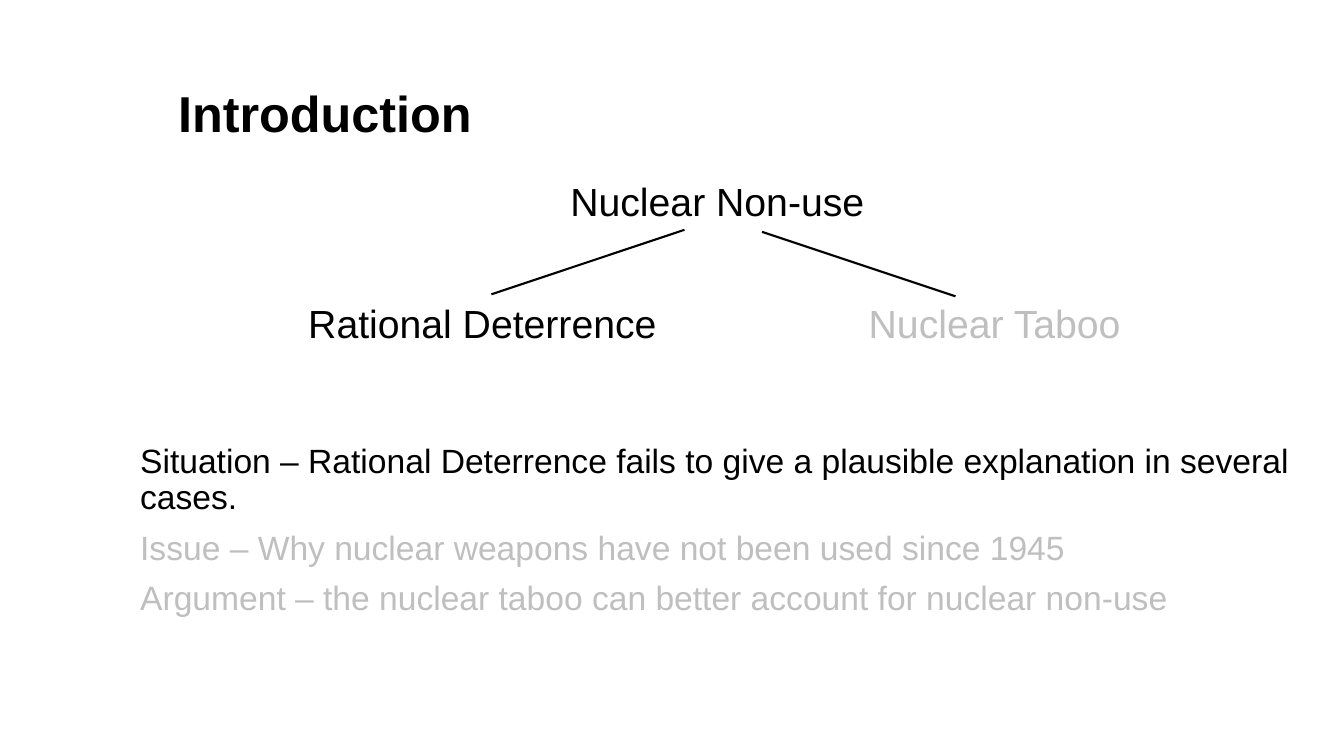
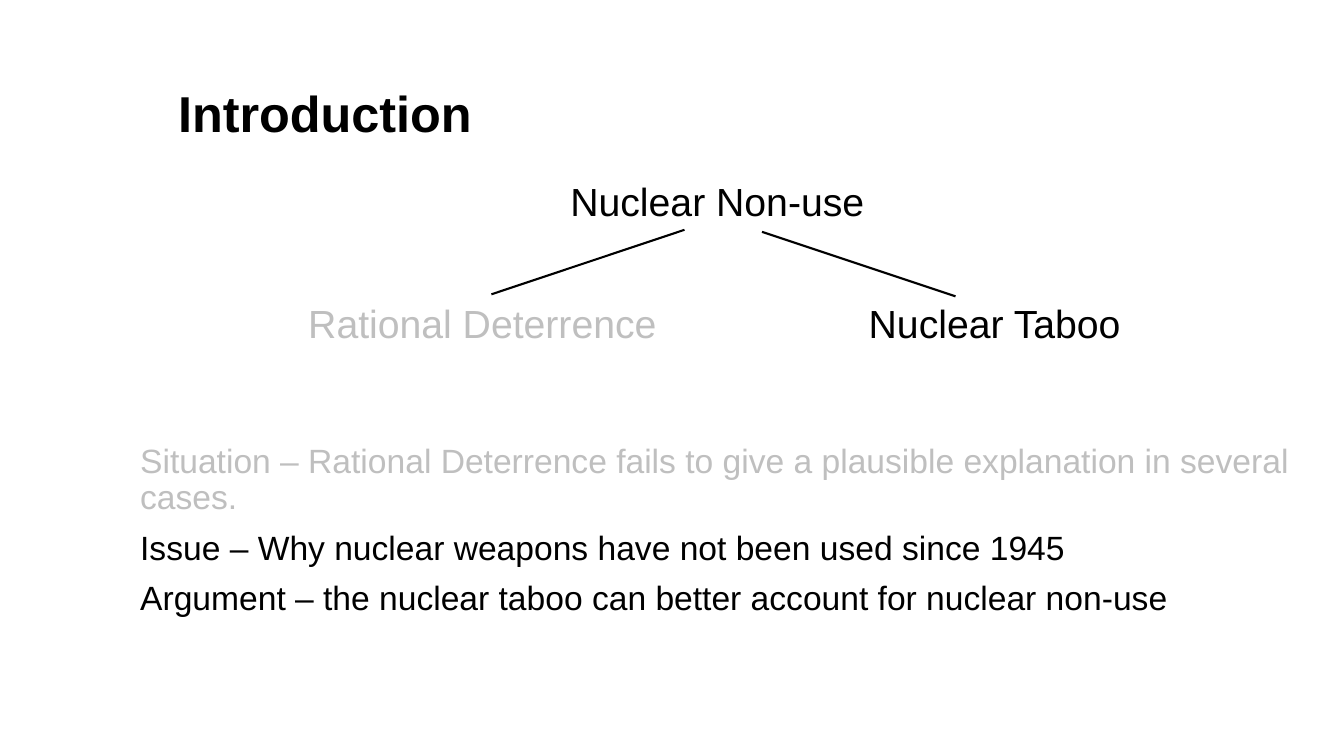
from lxml.etree import SubElement
from pptx import Presentation
from pptx.dml.color import RGBColor
from pptx.enum.shapes import MSO_CONNECTOR
from pptx.enum.text import MSO_ANCHOR, MSO_AUTO_SIZE, PP_ALIGN
from pptx.oxml.ns import qn
from pptx.util import Inches, Pt

SLIDE_W, SLIDE_H = Inches(13.333), Inches(7.5)
FONT = "Arial"
COLORS = {"active": "000000", "muted": "BFBFBF", "paper": "FFFFFF"}

# Tree layout, in percent of the slide's width and height
ROOT_TOP, BRANCH_TOP, NODE_H = 22.8, 38.93, 7.6

POINTS = [
    "Situation – Rational Deterrence fails to give a plausible explanation in several cases.",
    "Issue – Why nuclear weapons have not been used since 1945",
    "Argument – the nuclear taboo can better account for nuclear non-use",
]

# Each slide highlights one theory and the points that go with it
STEPS = [("Rational Deterrence", POINTS[:1]), ("Nuclear Taboo", POINTS[1:])]


def across(percent):
    return round(SLIDE_W * percent / 100)


def down(percent):
    return round(SLIDE_H * percent / 100)


def area(left, top, width, height):
    return across(left), down(top), across(width), down(height)


def tone(is_active):
    return RGBColor.from_string(COLORS["active" if is_active else "muted"])


def add_run(paragraph, text, size, is_active=True, bold=False):
    run = paragraph.add_run()
    run.text = text
    run.font.name, run.font.size, run.font.bold = FONT, Pt(size), bold
    run.font.color.rgb = tone(is_active)


def place(placeholder, box, anchor):
    placeholder.left, placeholder.top, placeholder.width, placeholder.height = box
    frame = placeholder.text_frame
    frame.word_wrap = True
    frame.auto_size = MSO_AUTO_SIZE.NONE
    frame.vertical_anchor = anchor
    return frame


def add_title(slide, text):
    frame = place(slide.shapes.title, area(12.5, 0, 75, 19.6), MSO_ANCHOR.BOTTOM)
    heading = frame.paragraphs[0]
    heading.alignment, heading.line_spacing = PP_ALIGN.LEFT, 0.9
    add_run(heading, text, 36, bold=True)


def add_points(slide, highlighted):
    frame = place(slide.placeholders[1], area(9.68, 58.13, 89.92, 28.53), MSO_ANCHOR.TOP)
    for index, point in enumerate(POINTS):
        line = frame.add_paragraph() if index else frame.paragraphs[0]
        line.alignment, line.line_spacing = PP_ALIGN.LEFT, 0.9
        line.space_before = Pt(10)
        add_run(line, point, 24, point in highlighted)


def add_node(slide, text, left, top, width, is_active=True):
    node = slide.shapes.add_textbox(*area(left, top, width, NODE_H))
    node.text_frame.word_wrap = True
    node.text_frame.auto_size = MSO_AUTO_SIZE.SHAPE_TO_FIT_TEXT
    add_run(node.text_frame.paragraphs[0], text, 28, is_active)
    return node


def add_branch(slide, start, end):
    branch = slide.shapes.add_connector(
        MSO_CONNECTOR.STRAIGHT,
        across(start[0]), down(start[1]), across(end[0]), down(end[1]))
    branch.line.color.rgb = tone(True)
    branch.line.width = Pt(1.5)
    SubElement(branch.element.spPr, qn("a:effectLst"))
    return branch


def add_tree(slide, theory):
    add_node(slide, "Nuclear Non-use", 41.7, ROOT_TOP, 25.8)
    add_node(slide, "Nuclear Taboo", 63.9, BRANCH_TOP, 25.8, theory == "Nuclear Taboo")
    deterrence = add_node(slide, "Rational Deterrence", 22.2, BRANCH_TOP, 28.73,
                          theory == "Rational Deterrence")
    root_bottom = ROOT_TOP + NODE_H
    to_deterrence = add_branch(slide, (36.6, BRANCH_TOP), (50.93, root_bottom))
    to_deterrence.begin_connect(deterrence, 0)
    add_branch(slide, (71.1, 39.2), (56.7, root_bottom + 0.27))


def main():
    deck = Presentation()
    deck.slide_width, deck.slide_height = SLIDE_W, SLIDE_H
    backdrop = deck.slide_master.background.fill
    backdrop.solid()
    backdrop.fore_color.rgb = RGBColor.from_string(COLORS["paper"])

    for theory, highlighted in STEPS:
        slide = deck.slides.add_slide(deck.slide_layouts[0])
        add_title(slide, "Introduction")
        add_points(slide, highlighted)
        add_tree(slide, theory)

    deck.save("out.pptx")


if __name__ == "__main__":
    main()
